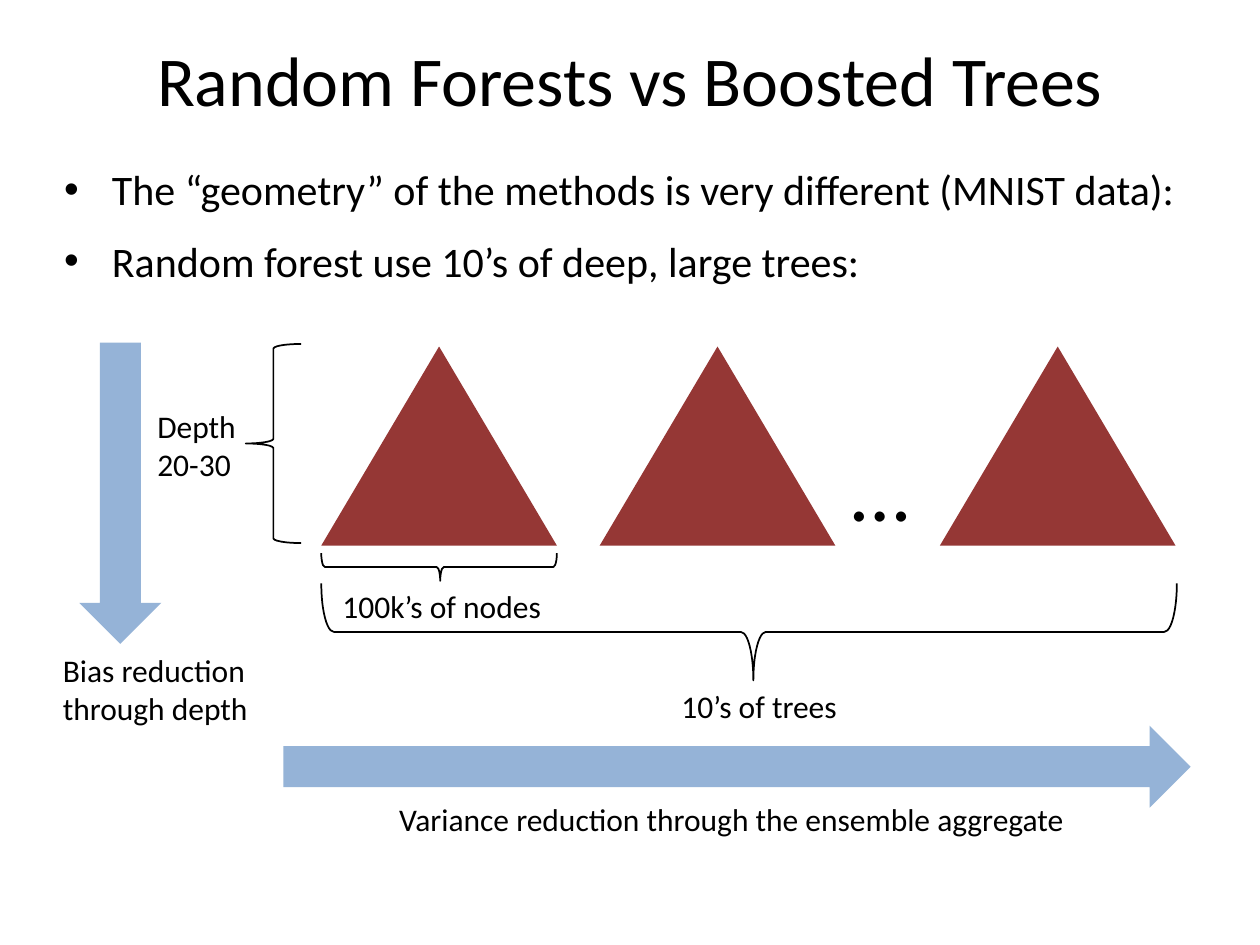
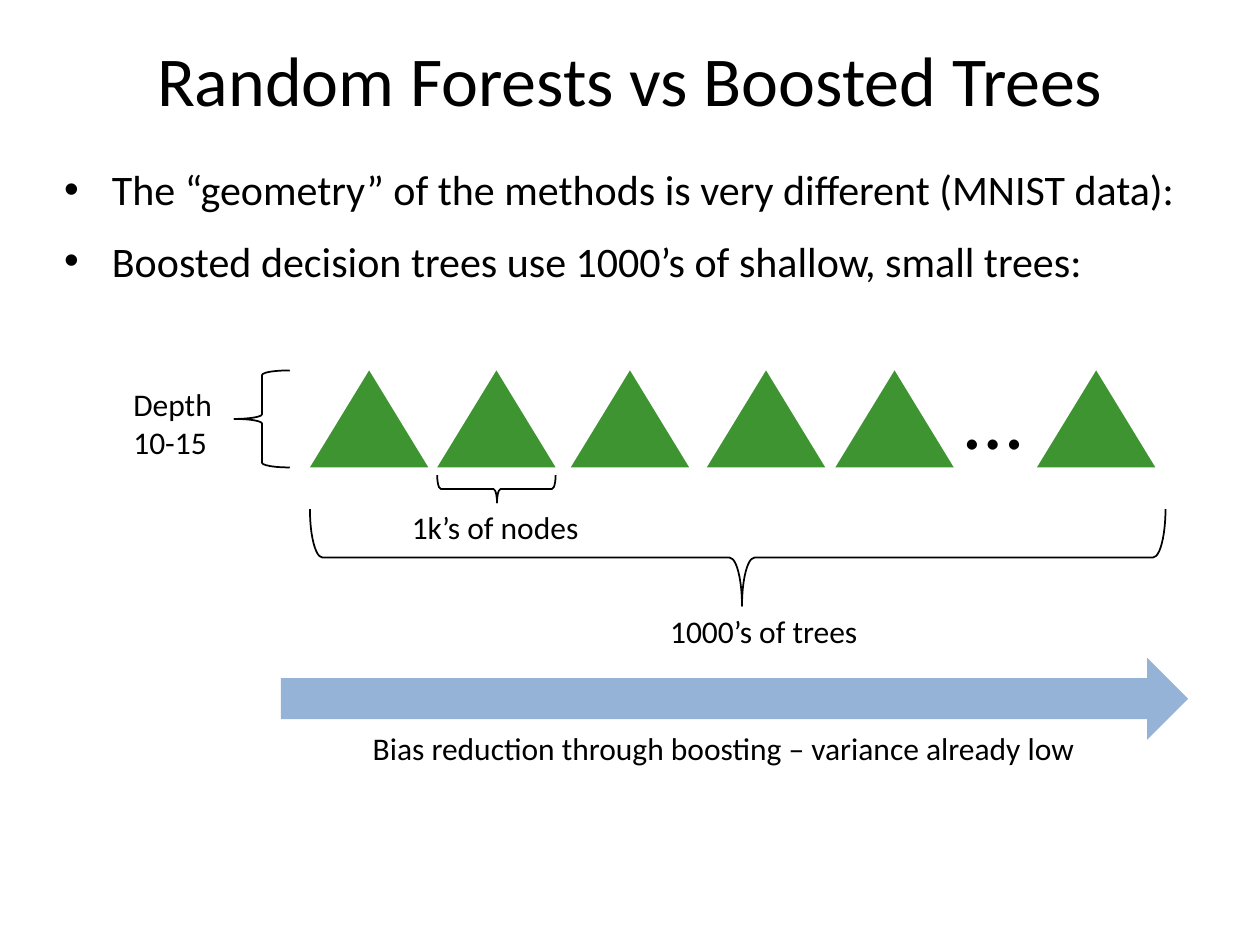
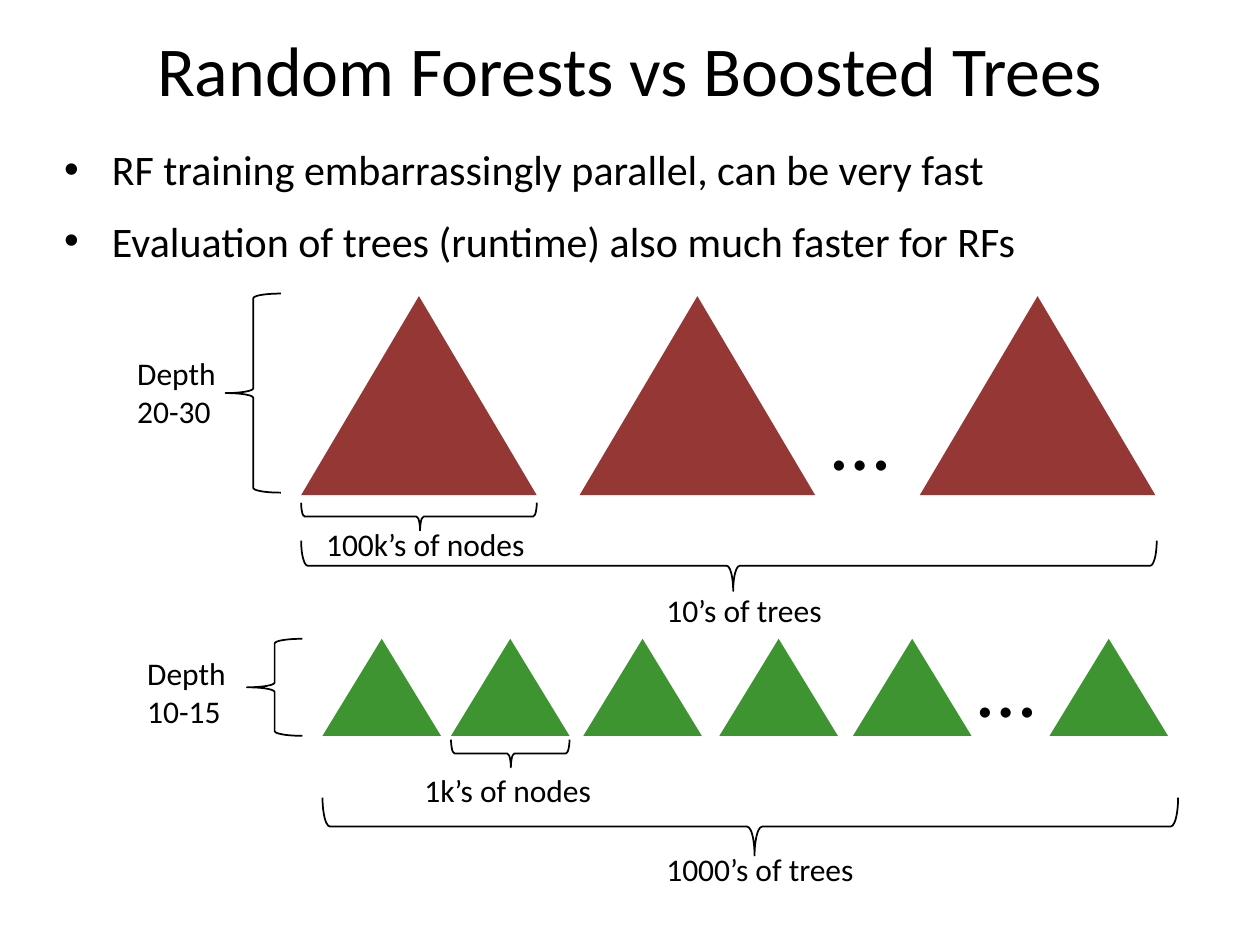
"""Build three slides comparing random forests with boosted trees."""
from dataclasses import dataclass

from lxml import etree
from pptx import Presentation
from pptx import util as u
from pptx.dml.color import RGBColor
from pptx.enum import shapes, text
from pptx.oxml.ns import qn


@dataclass(frozen=True)
class Theme:
    font: str = "Calibri"
    ink: str = "000000"
    arrow: str = "95B3D7"
    title: int = 40
    body: int = 24
    label: int = 18
    dots: int = 48
    outline: int = 1


THEME = Theme()
SHAPE = shapes.MSO_SHAPE
TITLE = "Random Forests vs Boosted Trees"
GEOMETRY = "The “geometry” of the methods is very different (MNIST data):"

RANDOM_FOREST = {
    "color": "953735", "size": (1.87, 1.58), "trees": (0, 2.21, 4.91),
    "dots": (4.11, 0.67), "measured": 0, "depth_top": -0.02,
    "depth": "Depth \v20-30", "nodes": "100k’s of nodes", "total": "10’s of trees",
    "nodes_width": 1.8, "total_width": 1.45, "node_gap": 0.06,
}
BOOSTED_TREES = {
    "color": "3E9430", "size": (0.94, 0.77), "trees": (0, 1.01, 2.07, 3.15, 4.17, 5.77),
    "dots": (5.1, -0.09), "measured": 1, "depth_top": 0,
    "depth": "Depth \v10-15", "nodes": "1k’s of nodes", "total": "1000’s of trees",
    "nodes_width": 1.54, "total_width": 1.7, "node_gap": 0.06,
}

SLIDES = [
    {
        "title_height": 1.25,
        "bullets": [GEOMETRY, "Random forest use 10’s of deep, large trees:"],
        "forests": [RANDOM_FOREST | {
            "at": (2.55, 2.75), "depth_at": (-1.4, 0.43), "nodes_at": (0.07, 1.86),
            "total_at": (2.76, 2.65), "span": (1.88, 0.77)}],
        "arrows": [((0.63, 2.72, 0.65, 2.39), False), ((2.25, 5.76, 7.2, 0.65), True)],
        "captions": [
            ("Bias reduction\nthrough depth", (0.4, 5.12, 1.75, 0.71)),
            ("Variance reduction through the ensemble aggregate", (3.07, 6.3, 5.55, 0.4))],
    },
    {
        "title_height": 1.25,
        "bullets": [GEOMETRY, "Boosted decision trees use 1000’s of shallow, small trees:"],
        "forests": [BOOSTED_TREES | {
            "at": (2.46, 2.94), "depth_at": (-1.5, 0.07), "nodes_at": (0.71, 1.04),
            "total_at": (2.76, 1.87), "span": (1.1, 0.77)}],
        "arrows": [((2.23, 5.22, 7.2, 0.65), True)],
        "captions": [
            ("Bias reduction through boosting – variance already low", (2.86, 5.74, 5.84, 0.4))],
    },
    {
        "title_height": 1.09,
        "bullets": ["RF training embarrassingly parallel, can be very fast",
                    "Evaluation of trees (runtime) also much faster for RFs"],
        "forests": [
            RANDOM_FOREST | {
                "at": (2.39, 2.35), "depth_at": (-1.4, 0.41), "nodes_at": (0.1, 1.77),
                "total_at": (2.8, 2.29), "span": (1.94, 0.4)},
            BOOSTED_TREES | {
                "at": (2.56, 5.07), "depth_at": (-1.49, 0.07), "nodes_at": (0.71, 1),
                "total_at": (2.63, 1.63), "span": (1.26, 0.46), "node_gap": 0.03,
                "trees": (0, 1.02, 2.07, 3.15, 4.21, 5.77)}],
        "arrows": [],
        "captions": [],
    },
]


def apply(target, values):
    for name, value in values.items():
        setattr(target, name, value)


def place(shape, area):
    apply(shape, dict(zip(("left", "top", "width", "height"), map(u.Inches, area))))


def style_text(frame, size):
    for para in frame.paragraphs:
        for span in para.runs:
            apply(span.font, {"name": THEME.font, "size": u.Pt(size)})
            span.font.color.rgb = RGBColor.from_string(THEME.ink)


def add_text(page, words, area, size=THEME.label, wrap=False):
    box = page.shapes.add_textbox(*map(u.Inches, area))
    frame = box.text_frame
    frame.text = words
    apply(frame, {"word_wrap": wrap, "auto_size": text.MSO_AUTO_SIZE.SHAPE_TO_FIT_TEXT})
    style_text(frame, size)
    return frame


def add_shape(page, kind, area, fill=None, turned=False):
    """Fill the visible area, turning the shape a quarter left if asked."""
    left, top, width, height = area
    if turned:
        shift = (width - height) / 2
        left, top, width, height = left + shift, top - shift, height, width
    shape = page.shapes.add_shape(kind, *map(u.Inches, (left, top, width, height)))
    shape.shadow.inherit = False
    shape.rotation = 270 if turned else 0
    if fill:
        shape.fill.solid()
        shape.fill.fore_color.rgb = RGBColor.from_string(fill)
        shape.line.fill.background()
    else:
        shape.fill.background()
        shape.line.color.rgb = RGBColor.from_string(THEME.ink)
        shape.line.width = u.Pt(THEME.outline)
    return shape


def add_brace_below(page, area):
    brace = add_shape(page, SHAPE.LEFT_BRACE, area, turned=True)
    brace.adjustments[0], brace.adjustments[1] = 0.129, 0.505


def add_bullets(page, lines, top):
    frame = add_text(page, "\n".join(lines), (0.41, top, 9.09, 1.08), THEME.body, True)
    for para in frame.paragraphs:
        apply(para, {"space_before": u.Pt(6), "space_after": u.Pt(6)})
        props = para._p.get_or_add_pPr()
        props.set("marL", str(u.Inches(0.38)))
        props.set("indent", str(-u.Inches(0.38)))
        etree.SubElement(props, qn("a:buFont")).set("typeface", "Arial")
        etree.SubElement(props, qn("a:buChar")).set("char", "•")


def add_forest(page, forest):
    left, top = forest["at"]
    width, height = forest["size"]

    def offset(position, *size):
        return left + position[0], top + position[1], *size

    for x in forest["trees"]:
        add_shape(page, SHAPE.ISOSCELES_TRIANGLE, offset((x, 0), width, height), forest["color"])
    add_text(page, "…", offset(forest["dots"], 0.67, 0.91), THEME.dots)
    add_shape(page, SHAPE.LEFT_BRACE, offset((-0.6, forest["depth_top"]), 0.44, height))
    span_top, span_height = forest["span"]
    add_brace_below(page, offset((0, span_top), 6.79, span_height))
    measured = forest["trees"][forest["measured"]]
    add_brace_below(page, offset((measured, height + forest["node_gap"]), width, 0.22))
    add_text(page, forest["depth"], offset(forest["depth_at"], 0.89, 0.71))
    for name in ("nodes", "total"):
        add_text(page, forest[name], offset(forest[f"{name}_at"], forest[f"{name}_width"], 0.4))


def add_page(deck, content):
    page = deck.slides.add_slide(deck.slide_layouts[5])
    title = page.shapes.title
    place(title, (0.5, 0, 9, content["title_height"]))
    title.text_frame.text = TITLE
    apply(title.text_frame, {"vertical_anchor": text.MSO_ANCHOR.MIDDLE,
                             "auto_size": text.MSO_AUTO_SIZE.NONE})
    title.text_frame.paragraphs[0].alignment = text.PP_ALIGN.CENTER
    style_text(title.text_frame, THEME.title)
    add_bullets(page, content["bullets"], content["title_height"])
    for forest in content["forests"]:
        add_forest(page, forest)
    for area, turned in content["arrows"]:
        add_shape(page, SHAPE.DOWN_ARROW, area, THEME.arrow, turned)
    for words, area in content["captions"]:
        add_text(page, words, area)


def main():
    deck = Presentation()
    apply(deck, {"slide_width": u.Inches(10), "slide_height": u.Inches(7.5)})
    for content in SLIDES:
        add_page(deck, content)
    deck.save("out.pptx")


if __name__ == "__main__":
    main()
